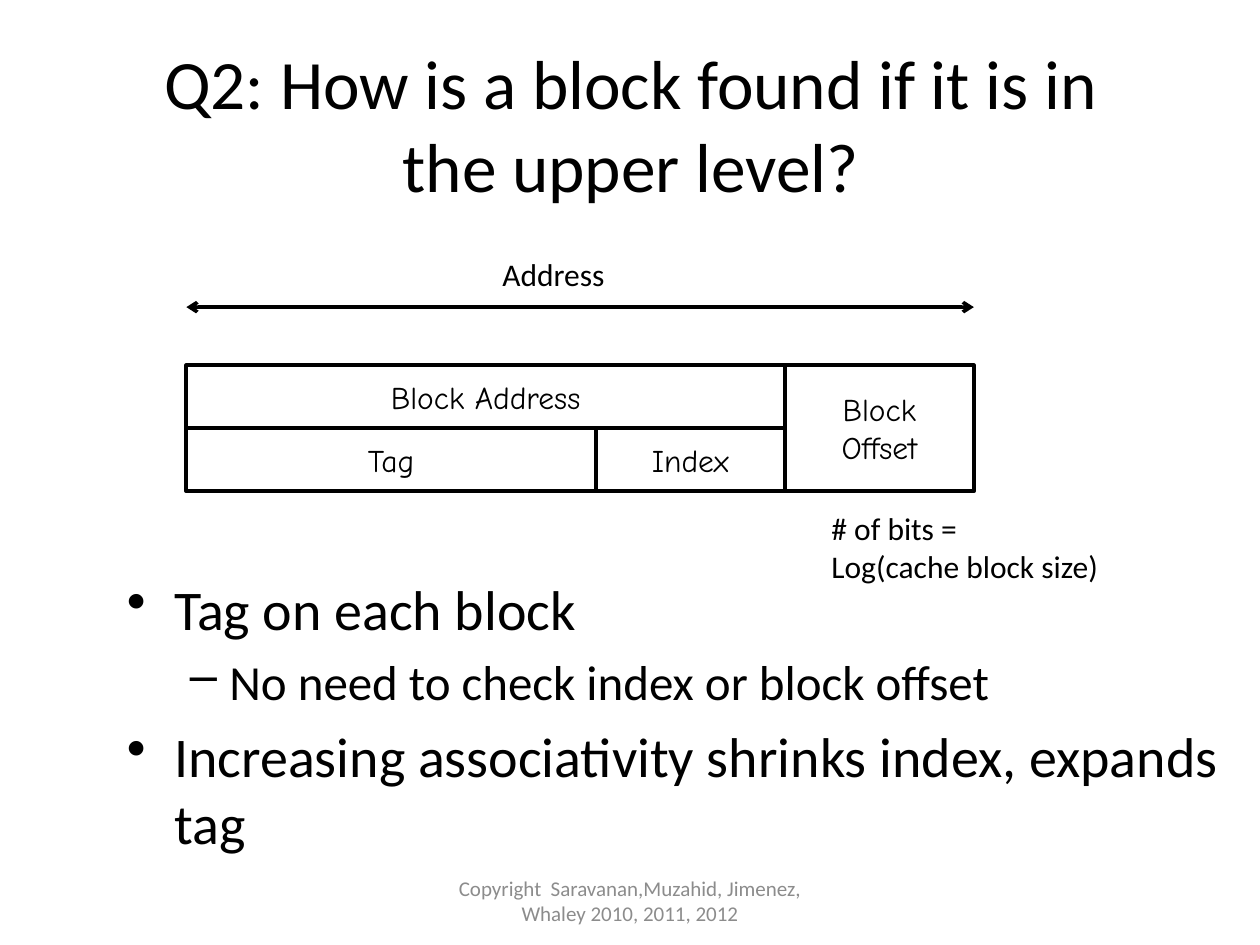
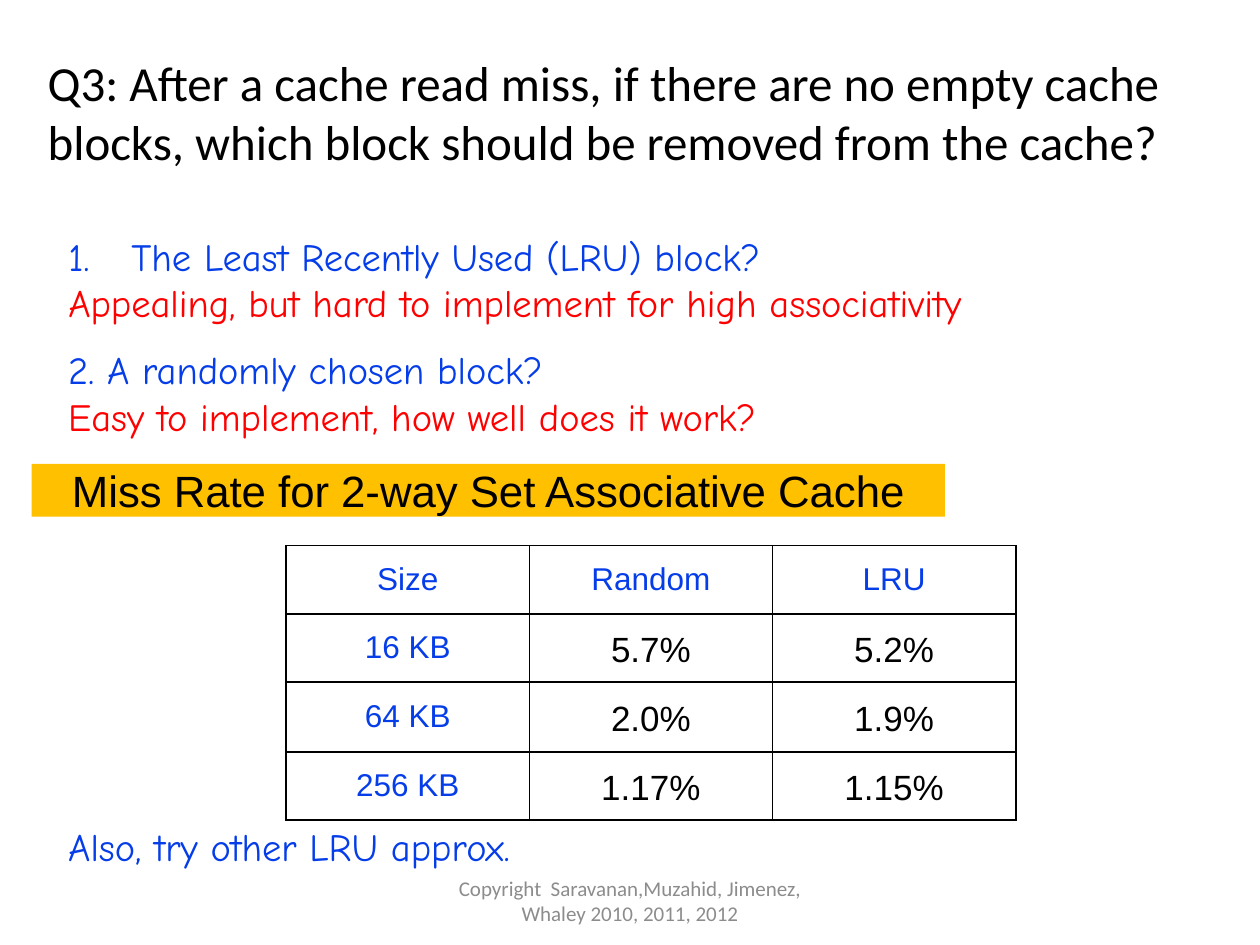
from dataclasses import dataclass
from typing import Any, NamedTuple

import pptx
import pptx.dml.color
import pptx.enum.shapes
import pptx.enum.text
import pptx.oxml
import pptx.oxml.ns
import pptx.util

Pt = pptx.util.Pt
ALIGN = pptx.enum.text.PP_ALIGN
ANCHOR = pptx.enum.text.MSO_ANCHOR
AUTO_SIZE = pptx.enum.text.MSO_AUTO_SIZE
RECTANGLE = pptx.enum.shapes.MSO_SHAPE.RECTANGLE

COLOURS = {
    "ink": "000000",
    "blue": "053DE8",
    "red": "FF0000",
    "banner": "FFC000",
    "footer": "8C8C8C",
}
BODY_FONT, HAND_FONT, TABLE_FONT = "Calibri", "Comic Neue", "Arial"
TITLE_ONLY_LAYOUT = 5
FOOTER = "Copyright  Saravanan,Muzahid, Jimenez, Whaley 2010, 2011, 2012"
NO_MARGINS = dict.fromkeys(("margin_left", "margin_top", "margin_right", "margin_bottom"), 0)
FREE_LABEL = {"word_wrap": False, "auto_size": AUTO_SIZE.SHAPE_TO_FIT_TEXT}
FLUSH_TEXT = {"word_wrap": True, "auto_size": AUTO_SIZE.SHAPE_TO_FIT_TEXT, **NO_MARGINS}


class Box(NamedTuple):
    """Left, top, width and height in points."""

    left: float
    top: float
    width: float
    height: float

    def lengths(self) -> list[int]:
        return [Pt(value) for value in self]


@dataclass(frozen=True)
class Line:
    """One paragraph; indents and spacing are in points."""

    text: str
    size: float = 18
    font: str = BODY_FONT
    colour: str = "ink"
    align: Any = ALIGN.LEFT
    level: int = 0
    margin: float = 0
    hanging: float = 0
    bullet: str = ""
    numbered: bool = False
    space_before: float = 0
    line_height: float | None = None


@dataclass(frozen=True)
class AddressField:
    words: tuple[str, ...]
    box: Box


def rgb(name: str) -> pptx.dml.color.RGBColor:
    return pptx.dml.color.RGBColor.from_string(COLOURS[name])


def apply_format(target: Any, values: dict[str, Any]) -> None:
    for name, value in values.items():
        setattr(target, name, value)


def write_paragraph(paragraph: Any, line: Line) -> None:
    apply_format(paragraph, {
        "alignment": line.align,
        "level": line.level,
        "space_before": Pt(line.space_before),
        "line_spacing": Pt(line.line_height) if line.line_height else None,
    })
    properties = paragraph._p.get_or_add_pPr()
    properties.set("marL", str(Pt(line.margin)))
    properties.set("indent", str(Pt(-line.hanging)))
    if line.numbered:
        bullet = pptx.oxml.ns.qn("a:buAutoNum")
        properties.append(properties.makeelement(bullet, {"type": "arabicPeriod"}))
    elif line.bullet:
        bullet = pptx.oxml.ns.qn("a:buChar")
        properties.append(properties.makeelement(bullet, {"char": line.bullet}))
    run = paragraph.add_run()
    run.text = line.text
    apply_format(run.font, {"name": line.font, "size": Pt(line.size)})
    run.font.color.rgb = rgb(line.colour)


def write_lines(frame: Any, lines: list[Line], frame_format: dict[str, Any]) -> None:
    apply_format(frame, frame_format)
    for index, line in enumerate(lines):
        paragraph = frame.add_paragraph() if index else frame.paragraphs[0]
        write_paragraph(paragraph, line)


def add_text(slide: Any, box: Box, lines: list[Line], frame_format: dict[str, Any]) -> None:
    shape = slide.shapes.add_textbox(*box.lengths())
    write_lines(shape.text_frame, lines, frame_format)


def add_rectangle(slide: Any, box: Box) -> Any:
    """Add a bare rectangle, with no shadow, fill or outline."""
    shape = slide.shapes.add_shape(RECTANGLE, *box.lengths())
    shape.shadow.inherit = False
    shape.fill.background()
    shape.line.fill.background()
    return shape


def add_field(slide: Any, field: AddressField) -> None:
    shape = add_rectangle(slide, field.box)
    shape.line.color.rgb = rgb("ink")
    shape.line.width = Pt(2.25)
    lines = [Line(word, font=HAND_FONT, align=ALIGN.CENTER) for word in field.words]
    write_lines(shape.text_frame, lines, {"word_wrap": False, "vertical_anchor": ANCHOR.MIDDLE})


def add_double_arrow(slide: Any, left: float, right: float, top: float) -> None:
    arrow = slide.shapes.add_connector(
        pptx.enum.shapes.MSO_CONNECTOR.STRAIGHT, Pt(left), Pt(top), Pt(right), Pt(top)
    )
    arrow.line.color.rgb = rgb("ink")
    arrow.line.width = Pt(2)
    outline = arrow.line._get_or_add_ln()
    for end in ("a:headEnd", "a:tailEnd"):
        outline.append(outline.makeelement(pptx.oxml.ns.qn(end), {"type": "arrow"}))
    properties = arrow._element.spPr
    properties.append(properties.makeelement(pptx.oxml.ns.qn("a:effectLst"), {}))


def add_titled_slide(presentation: Any, box: Box, title: Line) -> Any:
    """Add a slide with its title and the shared footer."""
    slide = presentation.slides.add_slide(presentation.slide_layouts[TITLE_ONLY_LAYOUT])
    placement = zip(("left", "top", "width", "height"), box.lengths())
    apply_format(slide.shapes.title, dict(placement))
    middle = {"word_wrap": True, "auto_size": AUTO_SIZE.NONE, "vertical_anchor": ANCHOR.MIDDLE}
    write_lines(slide.shapes.title.text_frame, [title], middle)
    footer = Line(FOOTER, size=12, colour="footer", align=ALIGN.CENTER)
    add_text(slide, Box(246, 500.5, 228, 28.75), [footer], middle)
    return slide


def set_cell_borders(cell: Any) -> None:
    namespace = pptx.oxml.ns.nsdecls("a")
    properties = cell._tc.get_or_add_tcPr()
    for index, side in enumerate("LRTB"):
        border = pptx.oxml.parse_xml(
            f'<a:ln{side} {namespace} w="{Pt(1)}"><a:solidFill>'
            f'<a:srgbClr val="{COLOURS["ink"]}"/></a:solidFill></a:ln{side}>'
        )
        properties.insert(index, border)


def add_miss_rate_table(slide: Any) -> None:
    rows = [
        ("Size", "Random", "LRU"),
        ("16 KB", "5.7%", "5.2%"),
        ("64 KB", "2.0%", "1.9%"),
        ("256 KB", "1.17%", "1.15%"),
    ]
    row_heights = (39, 39, 40, 39)
    column_width = 139
    box = Box(163.5, 311.75, column_width * len(rows[0]), sum(row_heights))
    table = slide.shapes.add_table(len(rows), len(rows[0]), *box.lengths()).table
    for column in table.columns:
        column.width = Pt(column_width)
    for row_index, (values, height) in enumerate(zip(rows, row_heights)):
        table.rows[row_index].height = Pt(height)
        for column_index, value in enumerate(values):
            cell = table.cell(row_index, column_index)
            cell.fill.background()
            cell.vertical_anchor = ANCHOR.MIDDLE
            set_cell_borders(cell)
            is_heading = row_index == 0 or column_index == 0
            size, colour, line_height = (18, "blue", 20) if is_heading else (20, "ink", 25)
            write_paragraph(cell.text_frame.paragraphs[0], Line(
                value, size, TABLE_FONT, colour, ALIGN.CENTER,
                space_before=0.3 * size, line_height=line_height,
            ))


def build_block_lookup_slide(presentation: Any) -> None:
    title = Line("Q2: How is a block found if it is in the upper level?", 39.6, align=ALIGN.CENTER)
    slide = add_titled_slide(presentation, Box(63.5, 55.5, 594, 30), title)

    first = {"size": 32, "margin": 27, "hanging": 27, "bullet": "•", "space_before": 6.4}
    second = {"size": 28, "margin": 58.5, "hanging": 22.5, "bullet": "–",
              "space_before": 5.6, "level": 1}
    add_text(slide, Box(65.5, 324.75, 648, 206.5), [
        Line("Tag on each block", **first),
        Line("No need to check index or block offset", **second),
        Line("Increasing associativity shrinks index, expands tag", **first),
    ], {"word_wrap": True})

    left, top, row_height = 106.5, 208.75, 36
    tag_width, index_width, offset_width = 234, 108, 108
    block_width = tag_width + index_width
    lower = top + row_height
    for field in (
        AddressField(("Block", "Offset"),
                     Box(left + block_width, top, offset_width, 2 * row_height)),
        AddressField(("Block Address",), Box(left, top, block_width, row_height)),
        AddressField(("Index",), Box(left + tag_width, lower, index_width, row_height)),
        AddressField(("Tag",), Box(left, lower, tag_width, row_height)),
    ):
        add_field(slide, field)

    add_text(slide, Box(468, 287.25, 169.25, 51),
             [Line("# of bits ="), Line("Log(cache block size)")], FREE_LABEL)
    add_double_arrow(slide, left, left + block_width + offset_width, 175.5)
    add_text(slide, Box(280, 142, 74.25, 29), [Line("Address")], FREE_LABEL)


def build_replacement_slide(presentation: Any) -> None:
    title = Line(
        "Q3: After a cache read miss, if there are no empty cache blocks, "
        "which block should be removed from the cache?", 28, margin=2,
    )
    slide = add_titled_slide(presentation, Box(18, 23, 702, 81.25), title)

    question = {"size": 22, "font": HAND_FONT, "colour": "blue"}
    answer = {**question, "colour": "red"}
    text_left = 39
    add_text(slide, Box(text_left, 198, 609, 53.25), [
        Line("2. A randomly chosen block?", **question),
        Line("Easy to implement, how well does it work?", **answer),
    ], FLUSH_TEXT)
    add_text(slide, Box(text_left, 133.25, 666.75, 53.25), [
        Line("The Least Recently Used (LRU) block?", margin=36, hanging=36,
             numbered=True, **question),
        Line("Appealing, but hard to implement for high associativity", **answer),
    ], FLUSH_TEXT)

    banner = add_rectangle(slide, Box(18, 265, 522, 30.25))
    banner.fill.solid()
    banner.fill.fore_color.rgb = rgb("banner")
    caption = Line("Miss Rate for 2-way Set Associative Cache", 25, TABLE_FONT, align=ALIGN.CENTER)
    write_lines(banner.text_frame, [caption], {**FLUSH_TEXT, "vertical_anchor": ANCHOR.TOP})

    add_text(slide, Box(text_left, 470.25, 372.25, 26.75),
             [Line("Also, try other LRU approx.", **question)], FLUSH_TEXT)
    add_miss_rate_table(slide)


def main() -> None:
    presentation = pptx.Presentation()
    apply_format(presentation, {"slide_width": Pt(720), "slide_height": Pt(540)})
    build_block_lookup_slide(presentation)
    build_replacement_slide(presentation)
    presentation.save("out.pptx")


if __name__ == "__main__":
    main()
